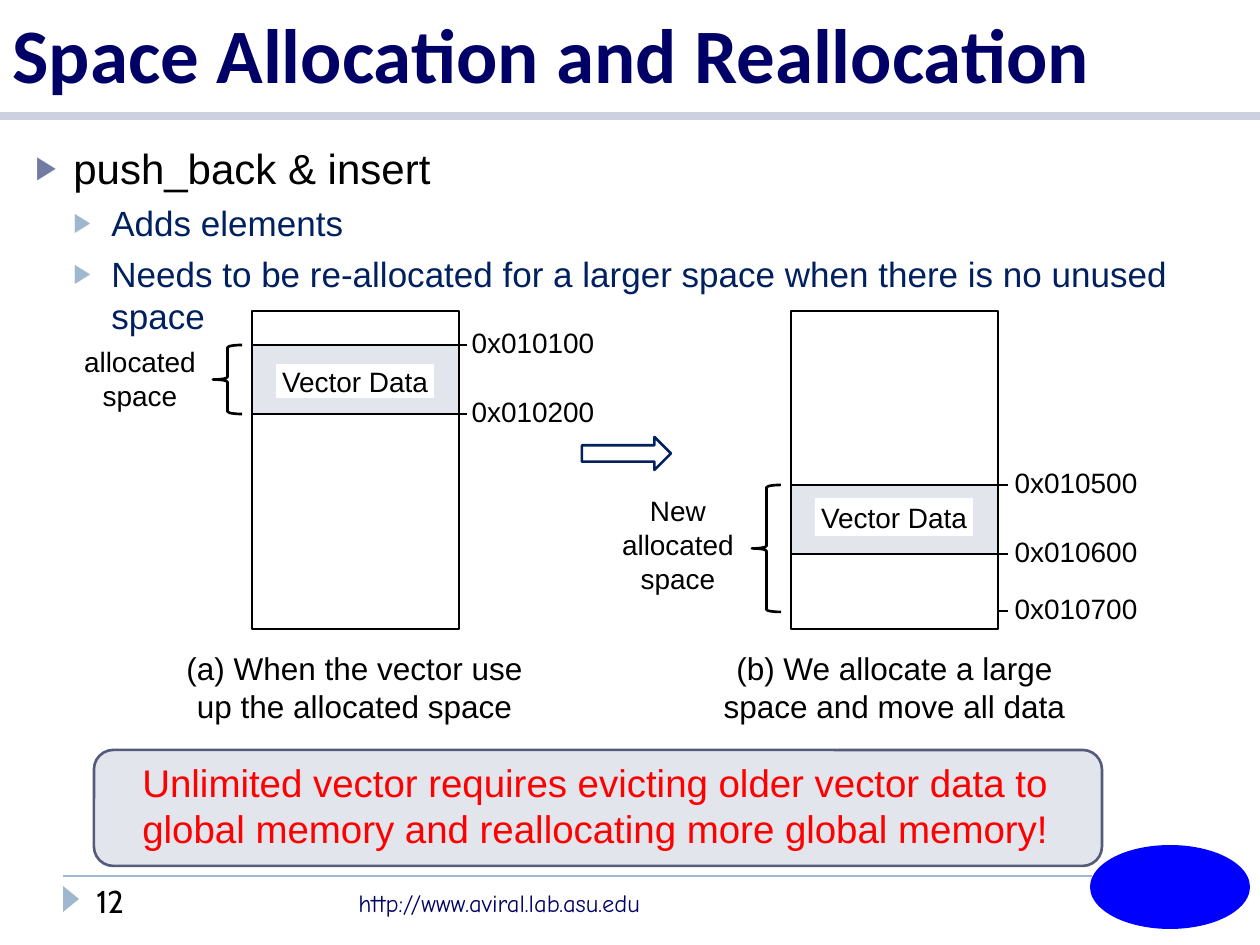
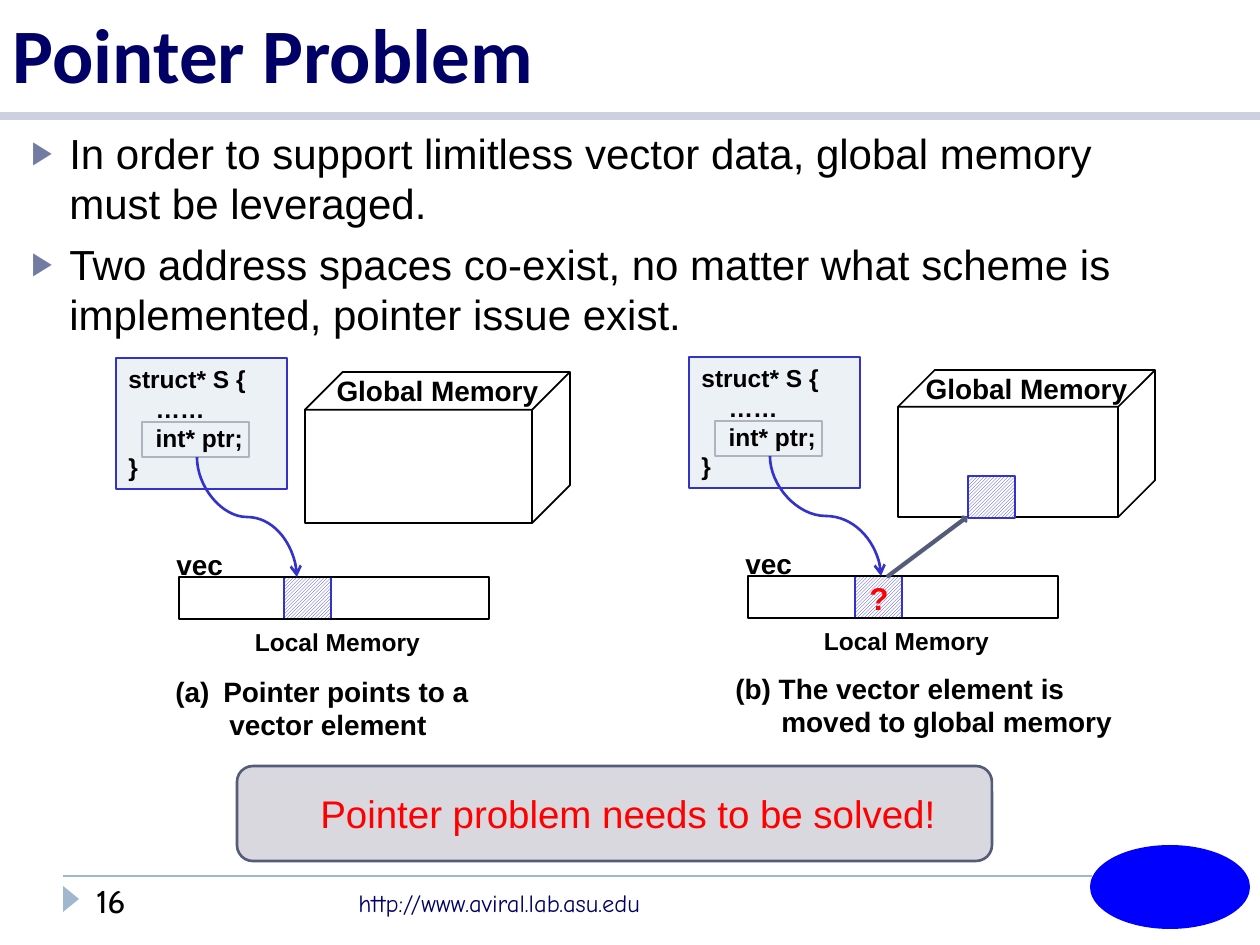
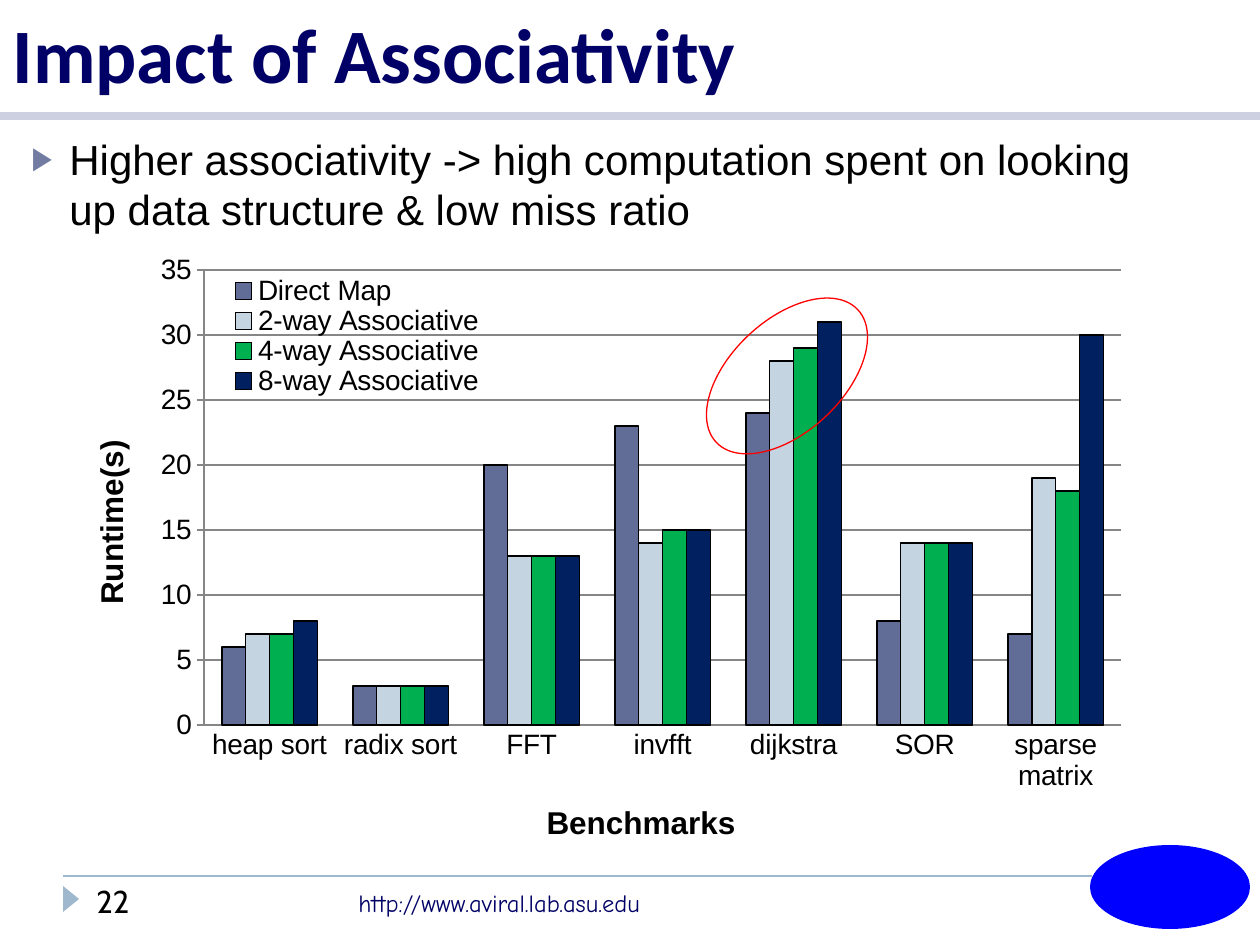
from dataclasses import dataclass
from pptx import Presentation
from pptx.chart.data import CategoryChartData
from pptx.dml.color import RGBColor
from pptx.enum.chart import XL_CHART_TYPE, XL_LEGEND_POSITION, XL_TICK_MARK
from pptx.enum.dml import MSO_PATTERN
from pptx.enum.shapes import MSO_CONNECTOR, MSO_SHAPE
from pptx.enum.text import MSO_ANCHOR, MSO_AUTO_SIZE, PP_ALIGN
from pptx.oxml import parse_xml
from pptx.oxml.ns import nsdecls, qn
from pptx.oxml.xmlchemy import OxmlElement
from pptx.util import Emu, Pt


@dataclass(frozen=True)
class Theme:
    font: str = "Arial"
    head: str = "Calibri"
    num: str = "Cabin"
    link: str = "Comic Neue"
    navy: str = "000066"
    deep: str = "002060"
    black: str = "000000"
    white: str = "FFFFFF"
    red: str = "FF0000"
    blue: str = "3333CC"
    logo: str = "0000FF"
    band: str = "CCD0E0"
    rule: str = "9FB8CD"
    mark: str = "727CA3"
    pale: str = "E3E5ED"
    grey: str = "D8D8DE"
    code: str = "ECF1F5"
    frame: str = "B2B2BE"
    edge: str = "545C79"
    dark: str = "464653"
    grid: str = "868686"
    title: int = 44
    body: int = 24
    call: int = 22
    sub: int = 20
    note: int = 18
    label: int = 16
    small: int = 14


T = Theme()
UNIT = 914400 / 126
LINK = "http://www.aviral.lab.asu.edu"

ALLOC = {
    "title": "Space Allocation and Reallocation", "num": "12",
    "body": (23, 136, 1222, 194),
    "points": [(0, "push_back & insert"), (1, "Adds elements"),
               (1, "Needs to be re-allocated for a larger space when there is no unused space")],
    "call": ((119, 750, 1008, 116), (130, 753, 945, 106), T.pale,
             "Unlimited vector requires evicting older vector data to global memory "
             "and reallocating more global memory!"),
}
CALL_X = 94
BLOCKS = [
    {"x": 252, "data": 345, "chip": (364, 34), "brace": (213, 69),
     "side": ("allocated space", 76, 345, 68), "tick": 8, "gap": 10,
     "marks": [(345, "0x010100"), (414, "0x010200")],
     "note": ("(a) When the vector use up the allocated space", 180, 349)},
    {"x": 791, "data": 485, "chip": (498, 38), "brace": (752, 127),
     "side": ("New allocated space", 614, 494, 102), "tick": 10, "gap": 14,
     "marks": [(485, "0x010500"), (554, "0x010600"), (611, "0x010700")],
     "note": ("(b) We allocate a large space and move all data", 718, 353)},
]
POINTER = {
    "title": "Pointer Problem", "num": "16",
    "body": (19, 121, 1124, 231),
    "points": [(0, "In order to support limitless vector data, global memory must be leveraged."),
               (0, "Two address spaces co-exist, no matter what scheme is implemented, "
                   "pointer issue exist.")],
    "call": ((237, 766, 755, 95), (287, 784, 682, 59), T.grey,
             "Pointer problem needs to be solved!"),
}
CODE = ["struct* S {", "    ……", "    int* ptr;", "}"]
SIDES = [
    {"code": (116, 358), "cube": (305, 372, 265, 151), "bar": (179, 577),
     "slot": 284, "tip": 297, "note": (163, 668, 406, 81), "auto": True, "pad": 54,
     "lines": ["Pointer points to a", "vector element"]},
    {"code": (689, 357), "cube": (898, 370, 257, 147), "bar": (748, 576),
     "slot": 855, "tip": 881, "note": (723, 665, 462, 81), "auto": False, "pad": 46,
     "lines": ["(b) The vector element is", "moved to global memory"]},
]
IMPACT = {
    "title": "Impact of Associativity", "num": "22",
    "body": (19, 127, 1148, 135),
    "points": [(0, "Higher associativity -> high computation spent on looking up "
                   "data structure & low miss ratio")],
}
CATS = ["heap sort", "radix sort", "FFT", "invfft", "dijkstra", "SOR", "sparse matrix"]
SERIES = [
    ("Direct Map", "626D97", [6, 3, 20, 23, 24, 8, 7]),
    ("2-way Associative", "C5D4E1", [7, 3, 13, 14, 28, 14, 19]),
    ("4-way Associative", "00B050", [7, 3, 13, 15, 29, 14, 18]),
    ("8-way Associative", "002060", [8, 3, 13, 15, 31, 14, 30]),
]


def px(n):
    return Emu(round(n * UNIT))


def rgb(hue):
    return RGBColor.from_string(hue)


def style(font, size, color=T.black, bold=False, face=T.font):
    font.name, font.size, font.bold = face, Pt(size), bold
    font.color.rgb = rgb(color)


def text(shape, lines, size=T.label, color=T.black, bold=False, face=T.font,
         align=PP_ALIGN.LEFT, anchor=MSO_ANCHOR.TOP, inset=True):
    frame = shape.text_frame
    frame.word_wrap, frame.auto_size = True, MSO_AUTO_SIZE.NONE
    frame.vertical_anchor = anchor
    frame.margin_left = frame.margin_right = Pt(7.2 if inset else 0)
    frame.margin_top = frame.margin_bottom = Pt(3.6 if inset else 0)
    for i, line in enumerate([lines] if isinstance(lines, str) else lines):
        para = frame.add_paragraph() if i else frame.paragraphs[0]
        para.alignment = align
        run = para.add_run()
        run.text = line
        style(run.font, size, color, bold, face)
    return frame


def box(slide, area, lines, **fmt):
    return text(slide.shapes.add_textbox(*map(px, area)), lines, **fmt)


def draw(slide, kind, area, fill=None, line=None, width=1, turn=0):
    shape = slide.shapes.add_shape(kind, *map(px, area))
    shape.shadow.inherit = False
    shape.rotation = turn
    if fill:
        shape.fill.solid()
        shape.fill.fore_color.rgb = rgb(fill)
    else:
        shape.fill.background()
    if line:
        shape.line.color.rgb = rgb(line)
        shape.line.width = Pt(width)
    else:
        shape.line.fill.background()
    return shape


def join(slide, start, end, color, width, kind=MSO_CONNECTOR.STRAIGHT):
    wire = slide.shapes.add_connector(kind, *map(px, start + end))
    wire.line.color.rgb = rgb(color)
    wire.line.width = Pt(width)
    wire._element.spPr.append(OxmlElement("a:effectLst"))
    return wire


def swoop(slide, start, end):
    (x1, y1), (x2, y2) = start, end
    mx, my = (x1 + x2) / 2, (y1 + y2) / 2
    dx, dy = (x2 - x1) / 2, (y2 - y1) / 2
    wire = join(slide, (mx + dy, my - dx), (mx - dy, my + dx), T.blue, 1.5,
                MSO_CONNECTOR.CURVE)
    wire._element.spPr.find(qn("a:xfrm")).set("rot", "16200000")
    head = OxmlElement("a:tailEnd")
    head.set("type", "arrow")
    wire.line._get_or_add_ln().append(head)


def indent(para, left, hang=0):
    prop = para._p.get_or_add_pPr()
    prop.set("marL", str(px(left)))
    prop.set("indent", str(px(-hang)))
    return prop


def bullet(para, level):
    prop = indent(para, 38 * (level + 1), 38)
    hue = T.rule if level else T.mark
    for part in (f'<a:buClr {nsdecls("a")}><a:srgbClr val="{hue}"/></a:buClr>',
                 f'<a:buSzPct {nsdecls("a")} val="76000"/>',
                 f'<a:buFont {nsdecls("a")} typeface="{T.font}"/>',
                 f'<a:buChar {nsdecls("a")} char="▶"/>'):
        prop.append(parse_xml(part))


def start(deck, page):
    slide = deck.slides.add_slide(deck.slide_layouts[5])
    title = slide.shapes.title
    title.left, title.top, title.width, title.height = map(px, (0, 0, 1260, 105))
    text(title, page["title"], size=T.title, color=T.navy, bold=True, face=T.head,
         anchor=MSO_ANCHOR.BOTTOM)
    join(slide, (63, 876), (1092, 876), T.rule, 1)
    join(slide, (0, 116), (1260, 116), T.band, 5)
    draw(slide, MSO_SHAPE.ISOSCELES_TRIANGLE, (58, 891, 26, 16), T.rule, turn=90)
    box(slide, (346, 882, 368, 43), LINK, size=T.small, color=T.navy, face=T.link)
    box(slide, (84, 876, 178, 50), page["num"], size=T.note, face=T.num)
    draw(slide, MSO_SHAPE.OVAL, (1090, 845, 160, 84), T.logo)
    frame = box(slide, page["body"], [line for _, line in page["points"]], size=T.body)
    for i, (para, (level, _)) in enumerate(zip(frame.paragraphs, page["points"])):
        bullet(para, level)
        if i:
            para.space_before = Pt(5 if level else 6)
        if level:
            para.level = level
            style(para.runs[0].font, T.sub, T.deep)
    return slide


def callout(slide, page, align, left=None):
    area, inner, fill, words = page["call"]
    if left is not None:
        area = (left,) + area[1:]
    draw(slide, MSO_SHAPE.ROUNDED_RECTANGLE, area, fill, T.edge, 1.5)
    box(slide, inner, words, size=T.call, color=T.red, align=align)


def alloc(deck):
    slide = start(deck, ALLOC)
    callout(slide, ALLOC, PP_ALIGN.LEFT, CALL_X)
    mid = {"align": PP_ALIGN.CENTER, "inset": False}
    wide = 207
    for blk in BLOCKS:
        x, y = blk["x"], blk["data"]
        draw(slide, MSO_SHAPE.RECTANGLE, (x, 311, wide, 318), None, T.black, 1.5)
        draw(slide, MSO_SHAPE.RECTANGLE, (x, y, wide, 69), T.pale, T.black, 0.75)
        top, high = blk["chip"]
        chip = draw(slide, MSO_SHAPE.RECTANGLE, (x + 24, top, 158, high), T.white)
        text(chip, "Vector Data", anchor=MSO_ANCHOR.MIDDLE, **mid)
        left, high = blk["brace"]
        draw(slide, MSO_SHAPE.LEFT_BRACE, (left, y, 29, high), None, T.black, 1.5)
        words, left, top, high = blk["side"]
        box(slide, (left, top, 128, high), words, **mid)
        edge = x + wide
        for top, words in blk["marks"]:
            join(slide, (edge, top), (edge + blk["tick"], top), T.black, 0.75)
            box(slide, (edge + blk["gap"], top - 19, 128, 34), words, **mid)
        words, left, width = blk["note"]
        box(slide, (left, 649, width, 77), words, size=T.note, **mid)
    draw(slide, MSO_SHAPE.RIGHT_ARROW, (582, 437, 89, 33), None, T.deep, 1.5)


def slot(slide, x, y):
    cell = draw(slide, MSO_SHAPE.RECTANGLE, (x, y, 47, 42), None, T.blue)
    cell.fill.patterned()
    cell.fill.pattern = MSO_PATTERN.LIGHT_UPWARD_DIAGONAL
    cell.fill.fore_color.rgb = rgb(T.blue)
    cell.fill.back_color.rgb = rgb(T.white)


def pointer(deck):
    slide = start(deck, POINTER)
    callout(slide, POINTER, PP_ALIGN.CENTER)
    for side in SIDES:
        x, y = side["bar"]
        slot(slide, side["slot"], y)
        draw(slide, MSO_SHAPE.RECTANGLE, (x, y, 310, 42), None, T.black)
        box(slide, (x - 15, y - 36, 73, 47), "vec", bold=True)
        box(slide, (x + 15, y + 44, 287, 43), "Local Memory", size=T.small, bold=True,
            align=PP_ALIGN.CENTER)
        left, top, wide, high = side["cube"]
        draw(slide, MSO_SHAPE.CUBE, side["cube"], None, T.black)
        box(slide, (left, top - 5, wide, 62), "Global Memory", bold=True,
            align=PP_ALIGN.CENTER)
        left, top = side["code"]
        code = draw(slide, MSO_SHAPE.RECTANGLE, (left, top, 171, 131), T.code, T.blue, 0.75)
        text(code, CODE, size=T.small, bold=True)
        draw(slide, MSO_SHAPE.RECTANGLE, (left + 26, top + 64, 107, 35), None, T.frame, 1.5)
        swoop(slide, (left + 81, top + 99), (side["tip"], y))
        first, last = box(slide, side["note"], side["lines"], bold=True).paragraphs
        indent(last, side["pad"])
        if side["auto"]:
            mark = OxmlElement("a:buAutoNum")
            mark.set("type", "alphaLcParenBoth")
            indent(first, 48, 48).append(mark)
    slot(slide, 968, 476)
    arrow = draw(slide, MSO_SHAPE.RIGHT_ARROW, (878, 544, 98, 6), T.dark, T.edge, 1.5, 323.2)
    arrow.adjustments[0], arrow.adjustments[1] = 0.26, 0.41
    box(slide, (857, 573, 40, 50), "?", size=T.note, color=T.red, bold=True)


def place(x, y, w, h, inner=False):
    target = '<c:layoutTarget val="inner"/>' if inner else ""
    spots = "".join(f'<c:{k} val="{v}"/>' for k, v in zip("xywh", (x, y, w, h)))
    return parse_xml(f'<c:layout {nsdecls("c")}><c:manualLayout>{target}<c:xMode val="edge"/>'
                     f'<c:yMode val="edge"/>{spots}</c:manualLayout></c:layout>')


def impact(deck):
    slide = start(deck, IMPACT)
    data = CategoryChartData()
    data.categories = CATS
    for name, _, vals in SERIES:
        data.add_series(name, vals)
    chart = slide.shapes.add_chart(XL_CHART_TYPE.COLUMN_CLUSTERED,
                                   *map(px, (73, 252, 1092, 599)), data).chart
    style(chart.font, T.label)
    chart.has_title = False
    plot = chart.plots[0]
    plot.gap_width, plot.overlap, plot.vary_by_categories = 150, 0, False
    for ser, (_, hue, _) in zip(plot.series, SERIES):
        ser.format.fill.solid()
        ser.format.fill.fore_color.rgb = rgb(hue)
        ser.format.line.color.rgb = rgb(T.black)
        ser.format.line.width = Pt(0.75)
    cat, val = chart.category_axis, chart.value_axis
    for axis, name in ((cat, "Benchmarks"), (val, "Runtime(s)")):
        axis.has_title = True
        frame = axis.axis_title.text_frame
        frame.text = name
        style(frame.paragraphs[0].runs[0].font, T.note, bold=True)
        style(axis.tick_labels.font, T.label)
        axis.format.line.color.rgb = rgb(T.grid)
    cat.major_tick_mark = XL_TICK_MARK.NONE
    val.major_tick_mark = XL_TICK_MARK.OUTSIDE
    val.minimum_scale, val.maximum_scale, val.major_unit = 0, 35, 5
    val.has_major_gridlines = True
    val.major_gridlines.format.line.color.rgb = rgb(T.grid)
    chart.has_legend = True
    key = chart.legend
    key.position, key.include_in_layout = XL_LEGEND_POSITION.RIGHT, False
    style(key.font, T.label)
    for node, spot in ((key._element, place(0.14, 0.04, 0.24, 0.2)),
                       (chart._chartSpace.chart.plotArea,
                        place(0.12, 0.03, 0.84, 0.76, True))):
        old = node.find(qn("c:layout"))
        if old is not None:
            node.remove(old)
        node.insert(1 if node is key._element else 0, spot)
    draw(slide, MSO_SHAPE.OVAL, (690, 320, 194, 112), None, T.red, 0.75, 316.9)


def main():
    deck = Presentation()
    deck.slide_width, deck.slide_height = px(1260), px(945)
    for build in (alloc, pointer, impact):
        build(deck)
    deck.save("out.pptx")


if __name__ == "__main__":
    main()
